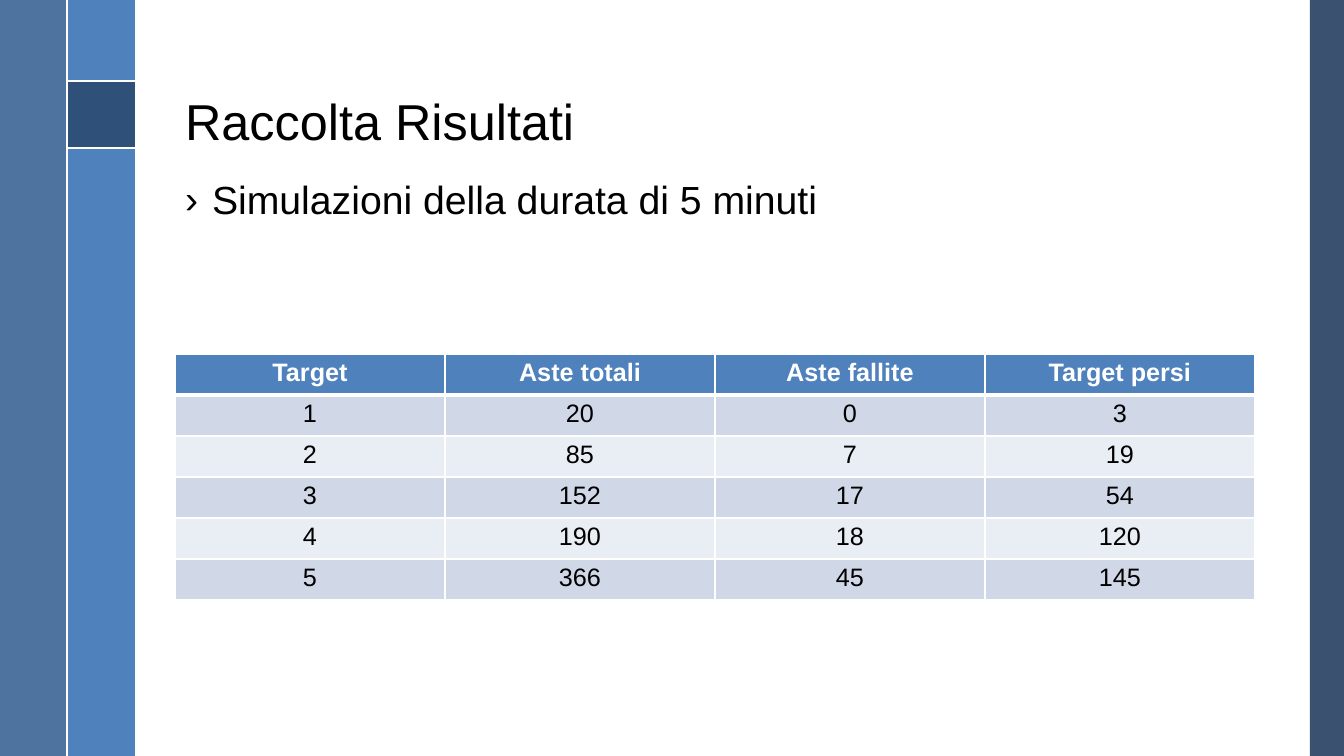
from pptx import Presentation
from pptx import util as u
from pptx.dml.color import RGBColor
from pptx.enum import shapes, text
from pptx.oxml import parse_xml
from pptx.oxml.ns import nsdecls
from lxml import etree

PX = 914400 / 100.8
WHITE, BLACK, BLUE, NAVY = "FFFFFF", "000000", "4F81BD", "254061"


def px(*lengths):
    return [u.Emu(round(length * PX)) for length in lengths]


def rgb(code):
    return RGBColor.from_string(code)


prs = Presentation()
prs.slide_width, prs.slide_height = px(1344, 756)
slide = prs.slides.add_slide(prs.slide_layouts[1])

# Side bands: box, colour, opacity in percent
bands = [
    ((1310, 0, 34, 756), NAVY, 90),
    ((67, 0, 68, 756), BLUE, 100),
    ((0, 0, 67, 756), "376092", 88),
    ((67, 81, 68, 67), NAVY, 75),
]
for box, color, opacity in bands:
    band = slide.shapes.add_shape(shapes.MSO_SHAPE.RECTANGLE, *px(*box))
    band.shadow.inherit = False
    band.line.fill.background()
    band.fill.solid()
    band.fill.fore_color.rgb = rgb(color)
    if opacity < 100:
        tint = band.fill._xPr.solidFill.srgbClr
        tint.append(parse_xml(f'<a:alpha {nsdecls("a")} val="{opacity * 1000}"/>'))

# White dividers between the bands
for ends in [(67, 81, 135, 81), (67, 148, 135, 148), (67, 0, 67, 756)]:
    divider = slide.shapes.add_connector(shapes.MSO_CONNECTOR.STRAIGHT, *px(*ends))
    divider.line.color.rgb = rgb(WHITE)
    divider.line.width = u.Pt(1.5)
    divider._element.spPr.append(parse_xml(f'<a:effectLst {nsdecls("a")}/>'))

# Title and bullet
title, body = slide.shapes.title, slide.placeholders[1]
for holder, box, wording, size, anchor in [
    (title, (175, 19, 1079, 137), "Raccolta Risultati", 36, text.MSO_ANCHOR.BOTTOM),
    (body, (175, 176, 1079, 504), "Simulazioni della durata di 5 minuti", 28, text.MSO_ANCHOR.TOP),
]:
    holder.left, holder.top, holder.width, holder.height = px(*box)
    frame = holder.text_frame
    frame.text = wording
    frame.word_wrap = True
    frame.auto_size = text.MSO_AUTO_SIZE.NONE
    frame.vertical_anchor = anchor
    paragraph = frame.paragraphs[0]
    paragraph.alignment = text.PP_ALIGN.LEFT
    paragraph.line_spacing = 0.9
    font = paragraph.runs[0].font
    font.name, font.size = "Arial", u.Pt(size)
    font.color.rgb = rgb(BLACK)

bullet = body.text_frame.paragraphs[0]
bullet.space_before, bullet.space_after = u.Pt(54), u.Pt(12)
bullet_format = bullet._p.get_or_add_pPr()
indent = px(27)[0]
bullet_format.set("marL", str(indent))
bullet_format.set("indent", str(-indent))
bullet_format.append(parse_xml(f'<a:buFont {nsdecls("a")} typeface="Arial"/>'))
bullet_format.append(parse_xml(f'<a:buChar {nsdecls("a")} char="›"/>'))

# Results table
results = [
    ("Target", "Aste totali", "Aste fallite", "Target persi"),
    (1, 20, 0, 3),
    (2, 85, 7, 19),
    (3, 152, 17, 54),
    (4, 190, 18, 120),
    (5, 366, 45, 145),
]
table = slide.shapes.add_table(6, 4, *px(175, 354, 1080, 246)).table
for row, values in enumerate(results):
    header = row == 0
    fill = BLUE if header else ("E9EDF4", "D0D8E8")[row % 2]
    borders = {"lnL": 1, "lnR": 1, "lnT": 3 if row == 1 else 1, "lnB": 3 if header else 1}
    for column, value in enumerate(values):
        cell = table.cell(row, column)
        cell.text_frame.text = str(value)
        paragraph = cell.text_frame.paragraphs[0]
        paragraph.alignment = text.PP_ALIGN.CENTER
        font = paragraph.runs[0].font
        font.name, font.size, font.bold = "Arial", u.Pt(18), header
        font.color.rgb = rgb(WHITE if header else BLACK)
        cell_format = cell._tc.get_or_add_tcPr()
        for side, width in borders.items():
            cell_format.append(etree.fromstring(
                f'<a:{side} {nsdecls("a")} w="{u.Pt(width)}"><a:solidFill>'
                f'<a:srgbClr val="{WHITE}"/></a:solidFill></a:{side}>'))
        cell.fill.solid()
        cell.fill.fore_color.rgb = rgb(fill)

prs.save("out.pptx")
